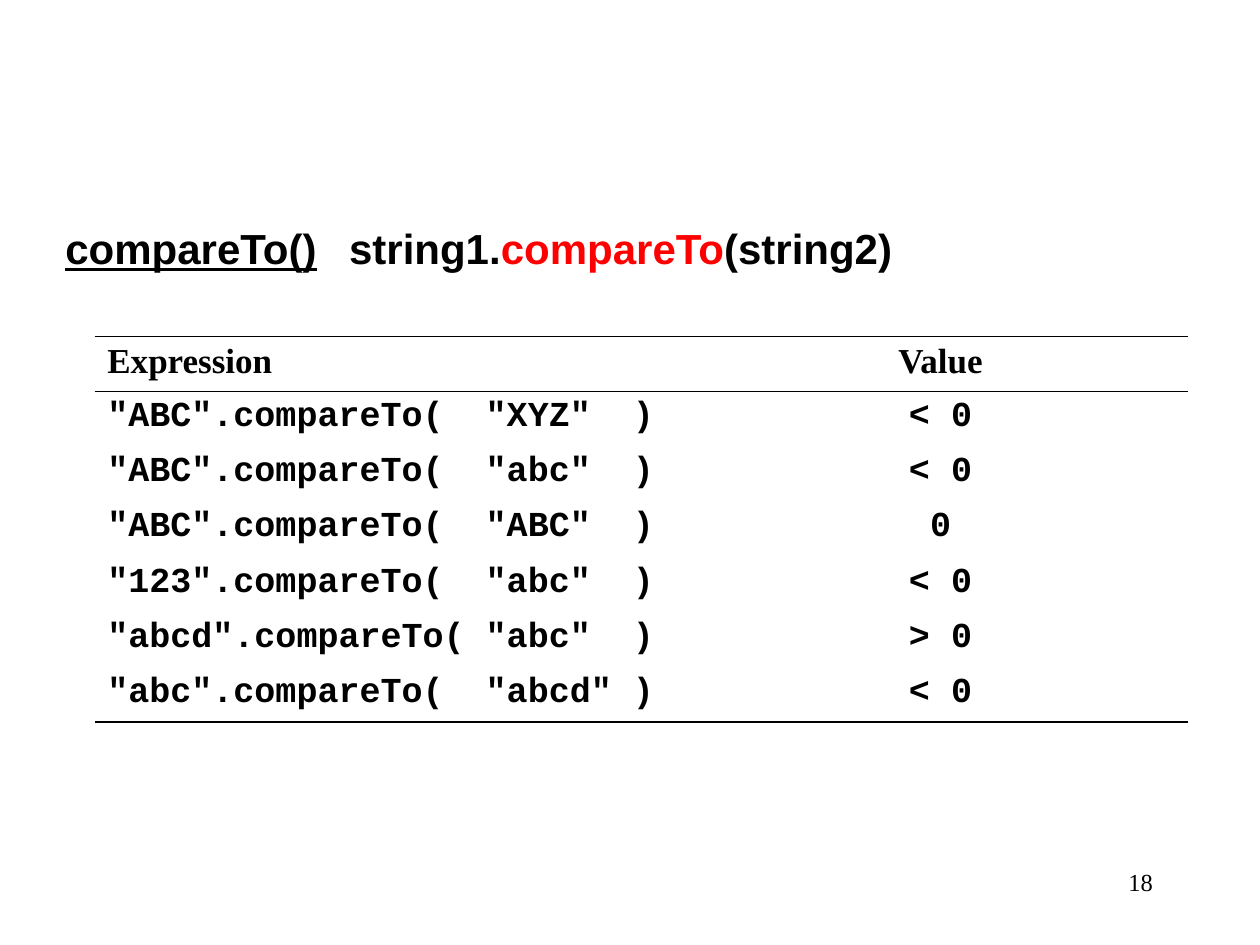
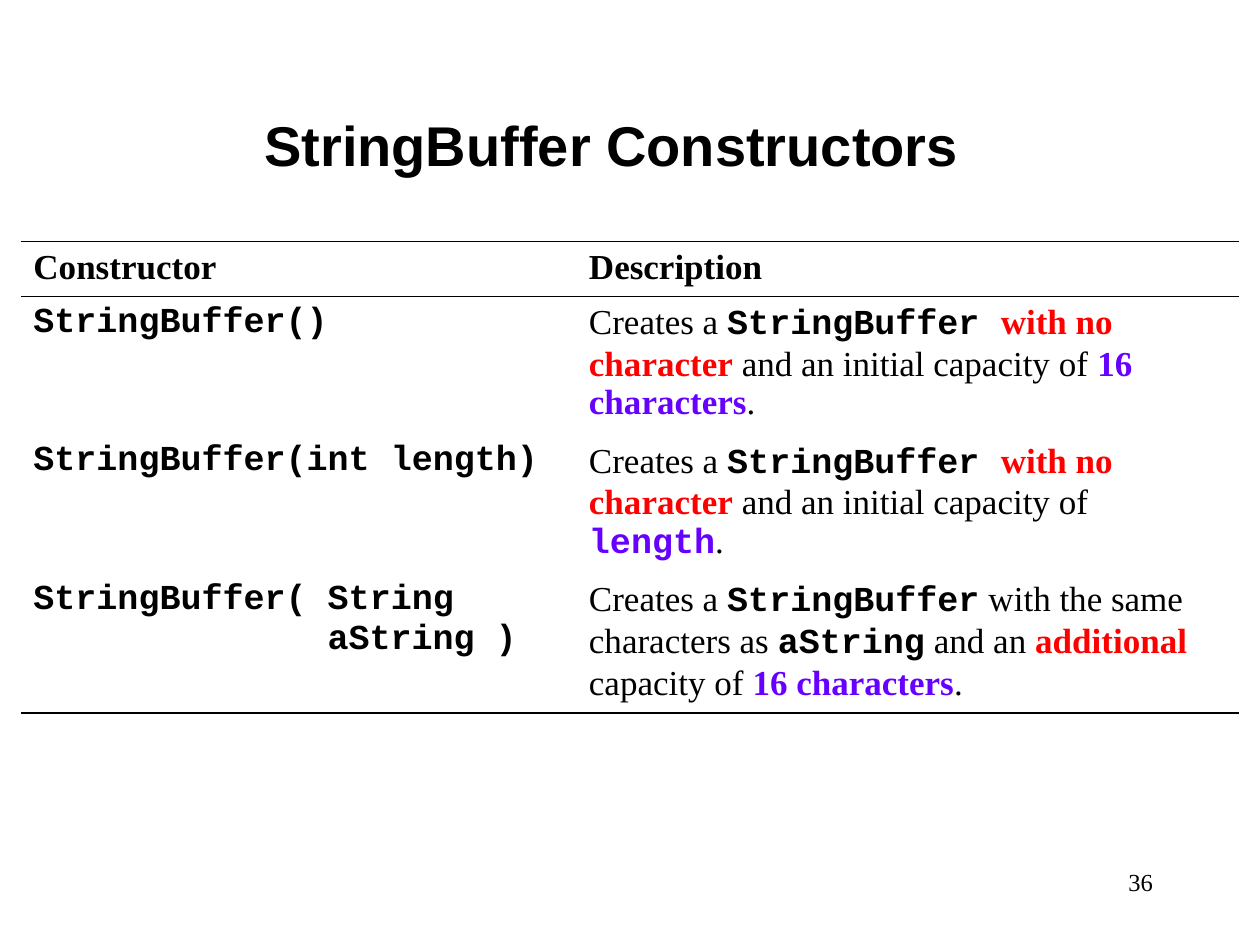
from lxml import etree
from pptx import Presentation
from pptx import util as u
from pptx.dml.color import RGBColor
from pptx.enum import text
from pptx.oxml import ns

COLORS = {"ink": "000000", "red": "FF0000", "violet": "6600FF"}
SERIF, SANS, MONO = "Times New Roman", "Arial", "Courier New"
STYLES = {
    "plain": (SERIF, False, "ink"),
    "head": (SERIF, True, "ink"),
    "code": (MONO, True, "ink"),
    "title": (SANS, True, "ink"),
    "title_red": (SANS, True, "red"),
    "red": (SERIF, True, "red"),
    "violet": (SERIF, True, "violet"),
    "violet_code": (MONO, True, "violet"),
}
RULE_WIDTH = u.Pt(0.96)
HEADER_HEIGHT = 1.11
CREATES = [("Creates a ", "plain"), ("StringBuffer", "code")]
EMPTY_WITH_CAPACITY = CREATES + [
    (" ", "code"),
    ("with no character", "red"),
    (" and an initial capacity of ", "plain"),
]
STOP = [(".", "plain")]

COMPARISONS = [
    ('"ABC".compareTo(  "XYZ"  )', "< 0"),
    ('"ABC".compareTo(  "abc"  )', "< 0"),
    ('"ABC".compareTo(  "ABC"  )', "0"),
    ('"123".compareTo(  "abc"  )', "< 0"),
    ('"abcd".compareTo( "abc"  )', "> 0"),
    ('"abc".compareTo(  "abcd" )', "< 0"),
]
CONSTRUCTORS = [
    (["StringBuffer()"],
     EMPTY_WITH_CAPACITY + [("16 characters", "violet")] + STOP),
    (["StringBuffer(int length)"],
     EMPTY_WITH_CAPACITY + [("length", "violet_code")] + STOP),
    (["StringBuffer( String", "aString )"],
     CREATES + [
         (" with the same characters as ", "plain"),
         ("aString", "code"),
         (" and an ", "plain"),
         ("additional", "red"),
         (" capacity of ", "plain"),
         ("16 characters", "violet"),
     ] + STOP),
]


def add_spans(para, spans, size):
    """Append (words, style name) spans to a paragraph."""
    for words, style in spans:
        span = para.add_run()
        span.text = words
        font = span.font
        font.name, font.bold, color = STYLES[style]
        font.size = u.Pt(size)
        font.color.rgb = RGBColor.from_string(COLORS[color])


def add_text(page, left, top, width, height, spans, size, align=text.PP_ALIGN.LEFT):
    """Add a one-paragraph text box and return its paragraph."""
    box = page.shapes.add_textbox(u.Cm(left), u.Cm(top), u.Cm(width), u.Cm(height))
    box.text_frame.word_wrap = True
    para = box.text_frame.paragraphs[0]
    para.alignment = align
    add_spans(para, spans, size)
    return para


def add_page(deck, number):
    """Add a blank page with its number at the lower right."""
    page = deck.slides.add_slide(deck.slide_layouts[6])
    add_text(page, 18.2, 17.35, 5.29, 1.27, [(number, "plain")], 14, text.PP_ALIGN.RIGHT)
    return page


def set_tab(para, position):
    """Set one left tab stop, in centimetres."""
    stops = etree.SubElement(para._p.get_or_add_pPr(), ns.qn("a:tabLst"))
    etree.SubElement(stops, ns.qn("a:tab"), pos=str(u.Cm(position)), algn="l")


def set_rules(cell, top, bottom):
    """Draw only the wanted horizontal rules of a cell."""
    properties = cell._tc.get_or_add_tcPr()
    sides = {"lnL": False, "lnR": False, "lnT": top, "lnB": bottom}
    for place, (side, shown) in enumerate(sides.items()):
        line = etree.Element(ns.qn(f"a:{side}"), w=str(RULE_WIDTH))
        properties.insert(place, line)
        if shown:
            fill = etree.SubElement(line, ns.qn("a:solidFill"))
            etree.SubElement(fill, ns.qn("a:srgbClr"), val=COLORS["ink"])
        else:
            etree.SubElement(line, ns.qn("a:noFill"))


def add_ruled_table(page, left, top, widths, row_height, rows):
    """Add a table with rules around its header and below its last row."""
    heights = [HEADER_HEIGHT] + [row_height] * (len(rows) - 1)
    frame = page.shapes.add_table(
        len(rows), len(widths), u.Cm(left), u.Cm(top),
        u.Cm(sum(widths)), u.Cm(sum(heights)))
    table = frame.table
    table.first_row = table.horz_banding = False
    for column, width in zip(table.columns, widths):
        column.width = u.Cm(width)
    last = len(rows) - 1
    for r, (row, height) in enumerate(zip(rows, heights)):
        table.rows[r].height = u.Cm(height)
        for c, lines in enumerate(row):
            cell = table.cell(r, c)
            cell.fill.background()
            set_rules(cell, r <= 1, r in (0, last))
            for i, spans in enumerate(lines):
                frame_text = cell.text_frame
                para = frame_text.add_paragraph() if i else frame_text.paragraphs[0]
                add_spans(para, spans, 20)
    return table


def build_compare_page(deck):
    """Build the page on compareTo()."""
    page = add_page(deck, "18")
    signature = [
        ("compareTo()", "title"),
        ("\tstring1.", "title"),
        ("compareTo", "title_red"),
        ("(string2)", "title"),
    ]
    para = add_text(page, 1.07, 4.37, 22.86, 1.27, signature, 24)
    para.runs[0].font.underline = True
    set_tab(para, 5.72)
    rows = [[[[("Expression", "head")]], [[("Value", "head")]]]]
    rows += [[[[(words, "code")]] for words in pair] for pair in COMPARISONS]
    table = add_ruled_table(page, 1.91, 6.78, [12.07, 9.96], HEADER_HEIGHT, rows)
    for r in range(len(rows)):
        table.cell(r, 1).text_frame.paragraphs[0].alignment = text.PP_ALIGN.CENTER


def build_constructor_page(deck):
    """Build the page on StringBuffer constructors."""
    page = add_page(deck, "36")
    add_text(page, 5.08, 2.11, 15.88, 1.63, [("StringBuffer Constructors", "title")], 32)
    rows = [[[[("Constructor", "head")]], [[("Description", "head")]]]]
    rows += [[[[(line, "code")] for line in call], [description]]
             for call, description in CONSTRUCTORS]
    table = add_ruled_table(page, 0.42, 4.87, [11.2, 13.36], 2.8, rows)
    argument = table.cell(len(rows) - 1, 0).text_frame.paragraphs[1]
    argument._p.get_or_add_pPr().set("marL", str(u.Cm(5.93)))


def main():
    """Build and save the deck."""
    deck = Presentation()
    deck.slide_width, deck.slide_height = u.Cm(25.4), u.Cm(19.05)
    build_compare_page(deck)
    build_constructor_page(deck)
    deck.save("out.pptx")


if __name__ == "__main__":
    main()
